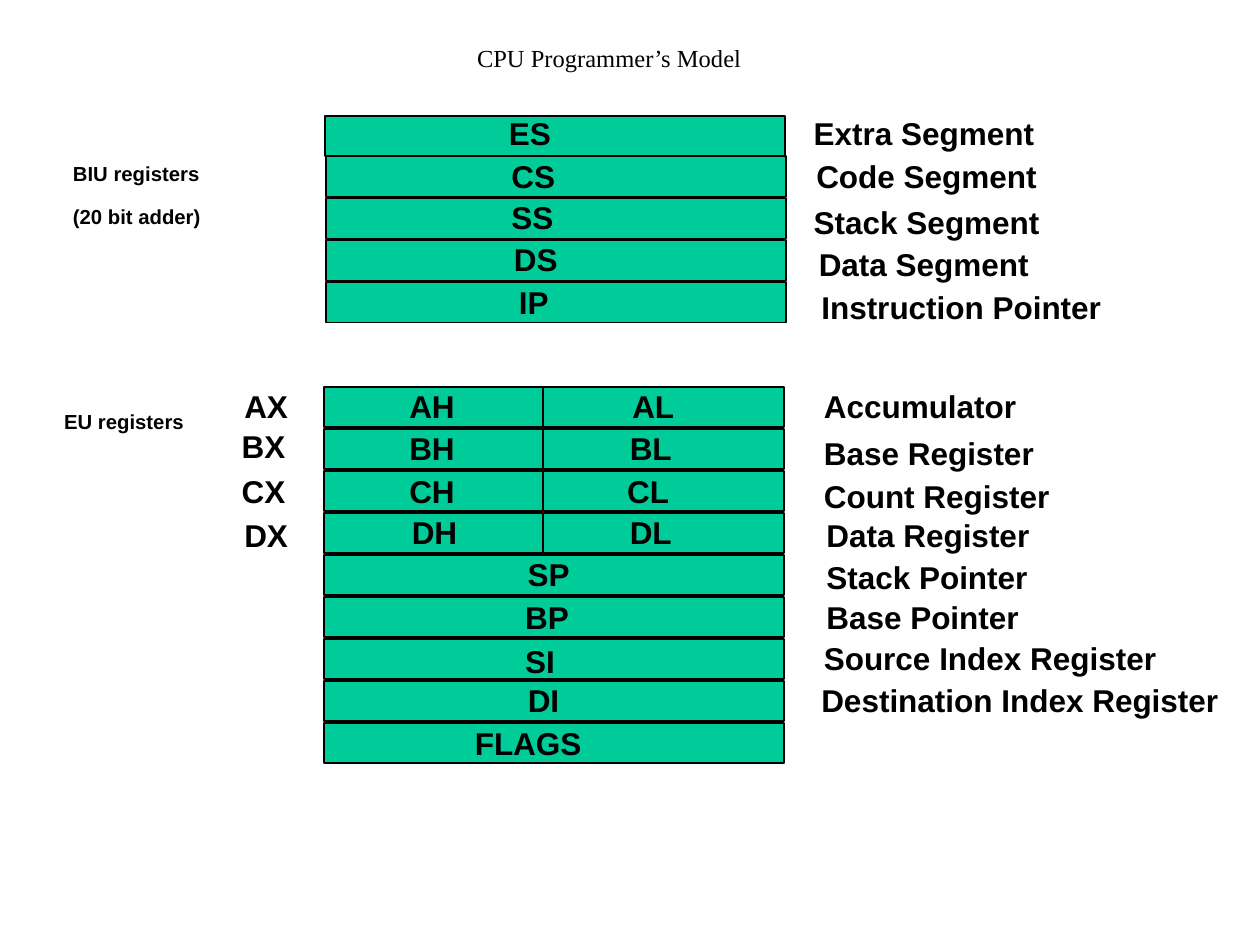
from typing import NamedTuple

from lxml import etree
from pptx import Presentation
from pptx.dml.color import RGBColor
from pptx.enum import shapes, text
from pptx.oxml import ns
from pptx.util import Inches, Pt

BLACK = "000000"
GREEN = "00CC99"
ROW_PITCH = 1 / 3
ROW_WIDTH, ROW_HEIGHT = 3.65, 0.32
LABEL_HEIGHT = 0.37


class Bank(NamedTuple):
    left: float
    top: float
    rows: int


class Label(NamedTuple):
    wording: str
    left: float
    top: float
    width: float


class Heading(NamedTuple):
    lines: list[str]
    left: float
    top: float
    width: float
    height: float


BANKS = [Bank(2.59, 1.24, 4), Bank(2.57, 3.07, 9), Bank(2.58, 0.92, 1)]

REGISTERS = [
    # BIU registers
    Label("ES", 3.94, 0.89, 0.54),
    Label("CS", 3.96, 1.23, 0.55),
    Label("SS", 3.96, 1.56, 0.54),
    Label("DS", 3.98, 1.89, 0.55),
    Label("IP", 4.02, 2.23, 0.44),
    # High and low bytes
    Label("AH", 3.15, 3.06, 0.56),
    Label("BH", 3.15, 3.39, 0.56),
    Label("CH", 3.15, 3.73, 0.56),
    Label("DH", 3.17, 4.06, 0.56),
    Label("AL", 4.92, 3.06, 0.54),
    Label("BL", 4.90, 3.39, 0.54),
    Label("CL", 4.88, 3.73, 0.54),
    Label("DL", 4.90, 4.06, 0.54),
    # Pointers, indexes and flags
    Label("SP", 4.09, 4.39, 0.54),
    Label("BP", 4.07, 4.73, 0.55),
    Label("SI", 4.07, 5.08, 0.44),
    Label("DI", 4.09, 5.39, 0.45),
    Label("FLAGS", 3.67, 5.73, 1.05),
    # Full 16-bit names
    Label("AX", 1.84, 3.06, 0.55),
    Label("BX", 1.82, 3.37, 0.55),
    Label("CX", 1.82, 3.73, 0.55),
    Label("DX", 1.84, 4.08, 0.55),
]

MEANINGS = [
    Label("Extra Segment", 6.36, 0.89, 1.95),
    Label("Code Segment", 6.38, 1.23, 1.95),
    Label("Stack Segment", 6.36, 1.60, 1.99),
    Label("Data Segment", 6.40, 1.93, 1.87),
    Label("Instruction Pointer", 6.42, 2.27, 2.42),
    Label("Accumulator", 6.44, 3.06, 1.73),
    Label("Base Register", 6.44, 3.43, 1.87),
    Label("Count Register", 6.44, 3.77, 1.99),
    Label("Data Register", 6.46, 4.08, 1.81),
    Label("Stack Pointer", 6.46, 4.41, 1.80),
    Label("Base Pointer", 6.46, 4.73, 1.73),
    Label("Source Index Register", 6.44, 5.06, 2.84),
    Label("Destination Index Register", 6.42, 5.39, 3.36),
]

HEADINGS = [
    Heading(["BIU registers", "(20 bit adder)"], 0.48, 1.05, 1.22, 0.78),
    Heading(["EU registers"], 0.41, 3.02, 1.15, 0.44),
]


def colour(value: str) -> RGBColor:
    return RGBColor.from_string(value)


def style(paragraph, name: str, size: float, bold: bool) -> None:
    font = paragraph.font
    font.name, font.size, font.bold = name, Pt(size), bold
    font.color.rgb = colour(BLACK)


def draw_bank(slide, bank: Bank) -> None:
    for row in range(bank.rows):
        cell = slide.shapes.add_shape(
            shapes.MSO_SHAPE.RECTANGLE,
            Inches(bank.left), Inches(bank.top + row * ROW_PITCH),
            Inches(ROW_WIDTH), Inches(ROW_HEIGHT),
        )
        cell.shadow.inherit = False
        cell.fill.solid()
        cell.fill.fore_color.rgb = colour(GREEN)
        cell.line.color.rgb = colour(BLACK)
        cell.line.width = Pt(1)


def draw_divider(slide, x: float, top: float, bottom: float) -> None:
    divider = slide.shapes.add_connector(
        shapes.MSO_CONNECTOR.STRAIGHT,
        Inches(x), Inches(top), Inches(x), Inches(bottom),
    )
    divider.line.color.rgb = colour(BLACK)
    divider.line.width = Pt(1)
    etree.SubElement(divider._element.spPr, ns.qn("a:effectLst"))


def draw_lines(slide, heading: Heading, size: float, baseline: int = 0) -> None:
    box = slide.shapes.add_textbox(
        Inches(heading.left), Inches(heading.top),
        Inches(heading.width), Inches(heading.height),
    )
    frame = box.text_frame
    frame.text = "\n".join(heading.lines)
    frame.word_wrap = False
    frame.auto_size = text.MSO_AUTO_SIZE.SHAPE_TO_FIT_TEXT
    for paragraph in frame.paragraphs:
        paragraph.line_spacing = 0.9
        style(paragraph, "Arial", size, True)
        if baseline:
            for run in paragraph.runs:
                run._r.get_or_add_rPr().set("baseline", str(baseline * 1000))


def draw_label(slide, label: Label) -> None:
    draw_lines(slide, Heading([label.wording], *label[1:], LABEL_HEIGHT), 18)


def draw_title(slide, wording: str) -> None:
    title = slide.shapes.add_textbox(
        Inches(3.42), Inches(0.33), Inches(2.83), Inches(0.25)
    )
    frame = title.text_frame
    frame.text = wording
    frame.word_wrap = True
    frame.vertical_anchor = text.MSO_ANCHOR.MIDDLE
    frame.paragraphs[0].alignment = text.PP_ALIGN.CENTER
    style(frame.paragraphs[0], "Times New Roman", 14, False)


def main() -> None:
    deck = Presentation()
    deck.slide_width, deck.slide_height = Inches(10), Inches(7.5)
    slide = deck.slides.add_slide(deck.slide_layouts[6])

    draw_title(slide, "CPU Programmer’s Model")

    # Register banks, with the byte split in the general registers
    for bank in BANKS:
        draw_bank(slide, bank)
    draw_divider(slide, 4.31, 3.06, 4.4)

    # Register names and their meanings
    for label in REGISTERS + MEANINGS:
        draw_label(slide, label)

    # Unit headings, set as subscripts
    for heading in HEADINGS:
        draw_lines(slide, heading, 20, baseline=-25)

    deck.save("out.pptx")


if __name__ == "__main__":
    main()
